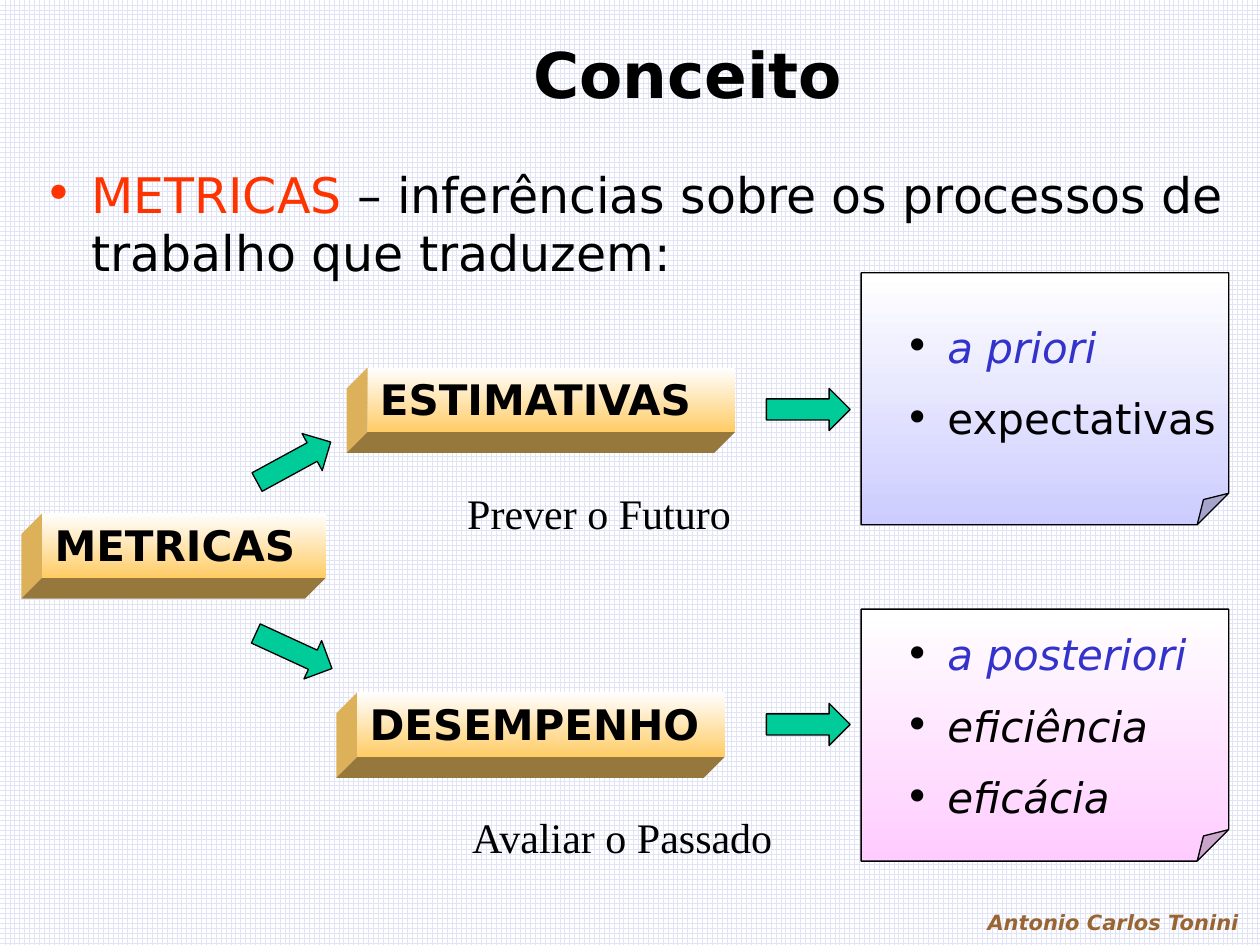
"""Build the "Conceito" slide on metrics, estimates and performance."""
import lxml.etree
import pptx
import pptx.dml.color
import pptx.enum.dml
import pptx.enum.shapes
import pptx.enum.text
import pptx.oxml.ns
import pptx.util

Cm = pptx.util.Cm
Pt = pptx.util.Pt
RGBColor = pptx.dml.color.RGBColor
SHAPE = pptx.enum.shapes.MSO_SHAPE
ALIGN = pptx.enum.text.PP_ALIGN
qn = pptx.oxml.ns.qn

BLACK = RGBColor(0x00, 0x00, 0x00)
WHITE = RGBColor(0xFF, 0xFF, 0xFF)
RED = RGBColor(0xFF, 0x33, 0x00)
BLUE = RGBColor(0x33, 0x33, 0xCC)
BROWN = RGBColor(0x99, 0x66, 0x33)
GREEN = RGBColor(0x00, 0xCC, 0x99)
GOLD = RGBColor(0xFF, 0xCC, 0x66)
GOLD_SIDE = RGBColor(0xDD, 0xB1, 0x59)
GOLD_BASE = RGBColor(0x96, 0x78, 0x3C)
LILAC = RGBColor(0xCC, 0xCC, 0xFF)
PINK = RGBColor(0xFF, 0xCC, 0xFF)
GRID = RGBColor(0xE1, 0xE4, 0xF7)

SANS = "DejaVu Sans"
SERIF = "Times New Roman"
DEPTH = 0.42
BLOCK_HEIGHT = 1.3


def set_grid_background(slide):
    """Cover the slide with a pale grid."""
    grid = slide.background.fill
    grid.patterned()
    grid.pattern = pptx.enum.dml.MSO_PATTERN.LARGE_GRID
    grid.fore_color.rgb = GRID
    grid.back_color.rgb = WHITE


def place(part, left, top, width, height):
    """Move and size a placeholder, in centimetres."""
    bounds = {"left": left, "top": top, "width": width, "height": height}
    for key, value in bounds.items():
        setattr(part, key, Cm(value))


def write(paragraph, text, size, color=BLACK, name=SANS, bold=False, italic=False):
    """Add a formatted run to a paragraph."""
    run = paragraph.add_run()
    run.text = text
    formats = {"size": Pt(size), "name": name, "bold": bold, "italic": italic}
    for key, value in formats.items():
        setattr(run.font, key, value)
    run.font.color.rgb = color


def add_bullet(paragraph, hanging, color):
    """Give a paragraph a coloured bullet and a hanging indent."""
    properties = paragraph._p.get_or_add_pPr()
    properties.set("marL", str(Cm(hanging)))
    properties.set("indent", str(-Cm(hanging)))
    bullet_color = lxml.etree.SubElement(properties, qn("a:buClr"))
    lxml.etree.SubElement(bullet_color, qn("a:srgbClr"), val=str(color))
    lxml.etree.SubElement(properties, qn("a:buFont"), typeface=SANS)
    lxml.etree.SubElement(properties, qn("a:buChar"), char="•")


def fill_down(shape, color):
    """Fade a shape from white at the top to a colour."""
    shape.fill.gradient()
    shape.fill.gradient_angle = 270
    for stop, shade in zip(shape.fill.gradient_stops, (WHITE, color)):
        stop.color.rgb = shade


def add_face(slide, corners, color):
    """Draw one slanted face of a block."""
    points = [(Cm(x), Cm(y)) for x, y in corners]
    builder = slide.shapes.build_freeform(*points[0])
    face = builder.add_line_segments(points[1:]).convert_to_shape()
    face.shadow.inherit = False
    face.fill.solid()
    face.fill.fore_color.rgb = color
    face.line.fill.background()


def add_block(slide, label, left, top, width):
    """Draw a labelled block with its side and base faces."""
    right, bottom = left + width, top + BLOCK_HEIGHT
    back, base = left - DEPTH, bottom + DEPTH
    add_face(slide, [(left, top), (back, top + DEPTH), (back, base), (left, bottom)], GOLD_SIDE)
    add_face(slide, [(left, bottom), (right, bottom), (right - DEPTH, base), (back, base)], GOLD_BASE)
    front = slide.shapes.add_shape(
        SHAPE.RECTANGLE, Cm(left), Cm(top), Cm(width), Cm(BLOCK_HEIGHT))
    front.shadow.inherit = False
    fill_down(front, GOLD)
    front.line.fill.background()
    front.text_frame.vertical_anchor = pptx.enum.text.MSO_ANCHOR.TOP
    heading = front.text_frame.paragraphs[0]
    heading.alignment = ALIGN.LEFT
    write(heading, label, 24, bold=True)


def outline(shape):
    """Give a shape a thin black line and no shadow."""
    shape.shadow.inherit = False
    shape.line.color.rgb = BLACK
    shape.line.width = Pt(0.75)


def add_arrow(slide, left, top, rotation=0):
    """Draw a green block arrow."""
    arrow = slide.shapes.add_shape(
        SHAPE.RIGHT_ARROW, Cm(left), Cm(top), Cm(1.69), Cm(0.85))
    outline(arrow)
    arrow.rotation = rotation
    arrow.fill.solid()
    arrow.fill.fore_color.rgb = GREEN


def add_text(slide, left, top, width, height, wrap=True):
    """Add a text box and return its text frame."""
    box = slide.shapes.add_textbox(Cm(left), Cm(top), Cm(width), Cm(height))
    box.text_frame.word_wrap = wrap
    return box.text_frame


def add_note(slide, top, color, list_top, items):
    """Draw a folded sheet with a bulleted list on it."""
    sheet = slide.shapes.add_shape(
        SHAPE.FOLDED_CORNER, Cm(17.36), Cm(top), Cm(7.41), Cm(5.08))
    outline(sheet)
    fill_down(sheet, color)
    guides = sheet._element.spPr.find(qn("a:prstGeom")).get_or_add_avLst()
    lxml.etree.SubElement(guides, qn("a:gd"), name="adj", fmla="val 12500")
    frame = add_text(slide, 17.99, list_top, 7.4, 1.4 * len(items))
    for index, (text, shade, italic) in enumerate(items):
        item = frame.add_paragraph() if index else frame.paragraphs[0]
        add_bullet(item, 0.86, BLACK)
        item.space_before = Pt(12 if index else 0)
        write(item, text, 24, shade, italic=italic)


def main():
    """Build and save the slide."""
    deck = pptx.Presentation()
    deck.slide_width, deck.slide_height = Cm(25.4), Cm(19.05)
    slide = deck.slides.add_slide(deck.slide_layouts[1])
    set_grid_background(slide)

    title, definition = slide.placeholders
    place(title, 2.75, 0.42, 22.23, 2.12)
    write(title.text_frame.paragraphs[0], "Conceito", 36, bold=True)
    place(definition, 0.64, 3.18, 24.34, 3.39)
    definition.text_frame.auto_size = pptx.enum.text.MSO_AUTO_SIZE.NONE
    sentence = definition.text_frame.paragraphs[0]
    add_bullet(sentence, 0.95, RED)
    sentence.space_before = Pt(0)
    write(sentence, "METRICAS", 28, RED)
    write(sentence, " – inferências sobre os processos de trabalho que traduzem:", 28)

    for block in (("METRICAS", 0.85, 10.35, 5.72),
                  ("ESTIMATIVAS", 7.41, 7.41, 7.41),
                  ("DESEMPENHO", 7.2, 13.96, 7.41)):
        add_block(slide, *block)
    for arrow in ((5.08, 12.7, 24.7), (5.08, 8.89, 331.4), (15.45, 7.83), (15.45, 14.18)):
        add_arrow(slide, *arrow)

    add_note(slide, 5.5, LILAC, 6.35,
             [("a priori", BLUE, True), ("expectativas", BLACK, False)])
    add_note(slide, 12.28, PINK, 12.55,
             [("a posteriori", BLUE, True), ("eficiência", BLACK, True),
              ("eficácia", BLACK, True)])

    for caption, left, top, width in (("Prever o Futuro", 9.17, 9.7, 5.87),
                                      ("Avaliar o Passado", 9.27, 16.23, 6.63)):
        frame = add_text(slide, left, top, width, 1.27, wrap=False)
        write(frame.paragraphs[0], caption, 24, name=SERIF)

    author = add_text(slide, 19.05, 18.21, 6.78, 0.84).paragraphs[0]
    author.alignment = ALIGN.CENTER
    write(author, "Antonio Carlos Tonini", 12, BROWN, bold=True, italic=True)
    deck.save("out.pptx")


if __name__ == "__main__":
    main()
